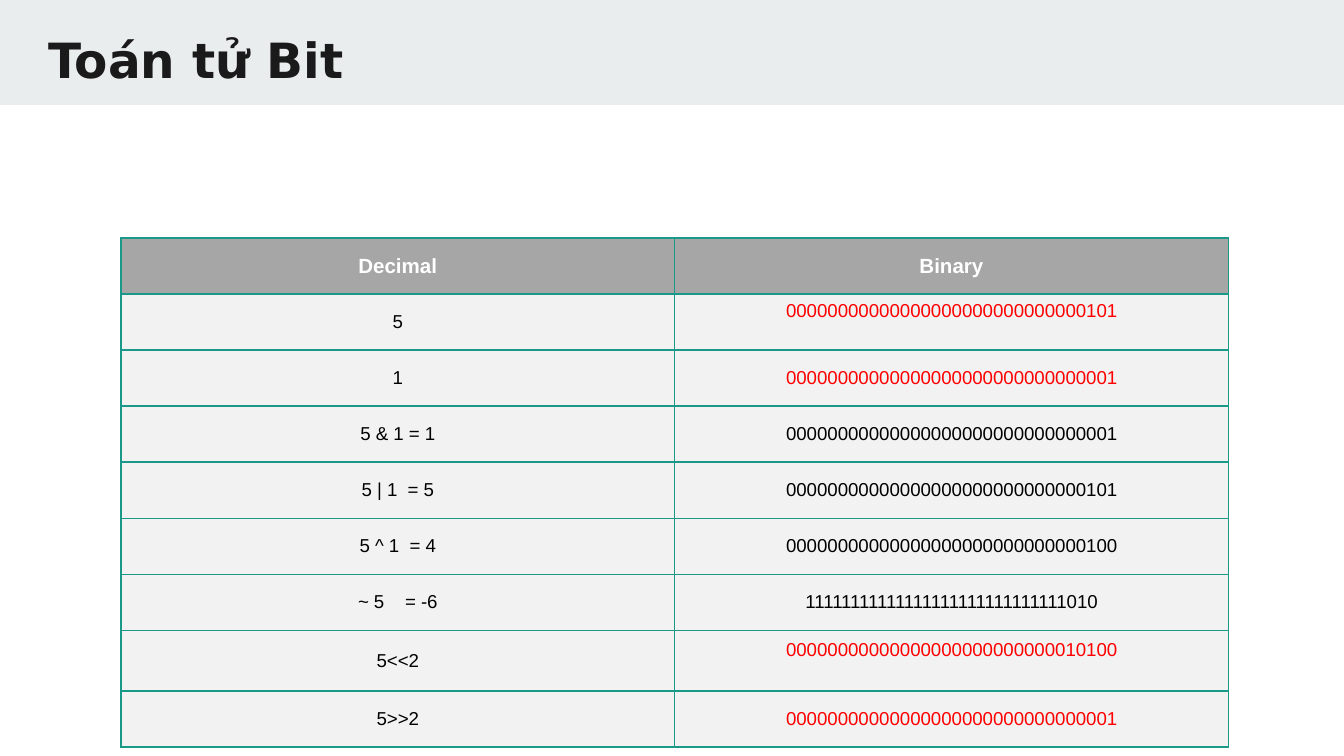
from lxml import etree
from pptx import Presentation
from pptx.dml.color import RGBColor
from pptx.enum.shapes import MSO_SHAPE
from pptx.enum.text import MSO_ANCHOR, PP_ALIGN
from pptx.oxml.ns import qn
from pptx.util import Inches, Pt

RECT = MSO_SHAPE.RECTANGLE
TOP, MIDDLE = MSO_ANCHOR.TOP, MSO_ANCHOR.MIDDLE
CENTER = PP_ALIGN.CENTER

WHITE = RGBColor(0xFF, 0xFF, 0xFF)
BLACK = RGBColor(0x00, 0x00, 0x00)
RED = RGBColor(0xFF, 0x00, 0x00)
INK = RGBColor(0x1A, 0x1A, 0x1A)
BAND = RGBColor(0xE9, 0xED, 0xEE)
HEAD = RGBColor(0xA6, 0xA6, 0xA6)
BODY = RGBColor(0xF2, 0xF2, 0xF2)
TEAL = RGBColor(0x1A, 0x99, 0x88)

WIDE = Inches(10)
HIGH = WIDE * 9 // 16
COL = Inches(4.12)
GRID, TALL = Inches(3.79), Inches(0.45)
ROW = (GRID - TALL) // 8
PAD = Inches(0.03)
MASK = 0xFFFFFFFF

ROWS = [
    ("5", 5, RED, 0.05),
    ("1", 1, RED, None),
    ("5 & 1 = 1", 5 & 1, BLACK, None),
    ("5 | 1  = 5", 5 | 1, BLACK, None),
    ("5 ^ 1  = 4", 5 ^ 1, BLACK, None),
    ("~ 5    = -6", ~5, BLACK, None),
    ("5<<2", 5 << 2, RED, 0.07),
    ("5>>2", 5 >> 2, RED, None),
]


def add_run(para, text, size, color, bold=False, face="Arial"):
    run = para.add_run()
    run.text = text
    font = run.font
    font.name, font.size, font.bold = face, Pt(size), bold
    font.color.rgb = color


def add_band(slide):
    band = slide.shapes.add_shape(RECT, 0, 0, WIDE, Inches(0.78))
    band.shadow.inherit = False
    band.fill.solid()
    band.fill.fore_color.rgb = BAND
    band.line.fill.background()


def add_title(slide, text):
    box = slide.shapes.add_textbox(
        Inches(0.26), Inches(0.12), Inches(9.52), Inches(0.59))
    frame = box.text_frame
    frame.word_wrap = True
    frame.vertical_anchor = TOP
    frame.margin_left = frame.margin_right = Inches(0.1)
    frame.margin_top = frame.margin_bottom = Inches(0.1)
    add_run(frame.paragraphs[0], text, 26, INK, True, "DejaVu Sans")


def set_edges(cell):
    props = cell._tc.get_or_add_tcPr()
    for spot, side in enumerate(("lnL", "lnR", "lnT", "lnB")):
        line = etree.Element(qn("a:" + side), w=str(Pt(1)))
        fill = etree.SubElement(line, qn("a:solidFill"))
        etree.SubElement(fill, qn("a:srgbClr"), val=str(TEAL))
        props.insert(spot, line)


def fill_cell(cell, text, size, color, back, bold=False, drop=None):
    cell.margin_left = cell.margin_right = PAD
    cell.margin_top = cell.margin_bottom = PAD
    cell.vertical_anchor = MIDDLE
    if drop is not None:
        cell.vertical_anchor = TOP
        cell.margin_top = Inches(drop)
    cell.fill.solid()
    cell.fill.fore_color.rgb = back
    set_edges(cell)
    para = cell.text_frame.paragraphs[0]
    para.alignment = CENTER
    add_run(para, text, size, color, bold)


def add_grid(slide):
    count = len(ROWS) + 1
    grid = slide.shapes.add_table(
        count, 2, Inches(0.9), Inches(1.77), 2 * COL, GRID).table
    for col in grid.columns:
        col.width = COL
    for row in grid.rows:
        row.height = ROW
    grid.rows[7].height = TALL
    for col, name in enumerate(("Decimal", "Binary")):
        fill_cell(grid.cell(0, col), name, 11, WHITE, HEAD, True)
    for row, (term, value, color, drop) in enumerate(ROWS, 1):
        bits = format(value & MASK, "032b")
        fill_cell(grid.cell(row, 0), term, 10, BLACK, BODY)
        fill_cell(grid.cell(row, 1), bits, 10, color, BODY, drop=drop)


def main():
    deck = Presentation()
    deck.slide_width, deck.slide_height = WIDE, HIGH
    slide = deck.slides.add_slide(deck.slide_layouts[6])
    add_band(slide)
    add_title(slide, "Toán tử Bit")
    add_grid(slide)
    deck.save("out.pptx")


if __name__ == "__main__":
    main()
